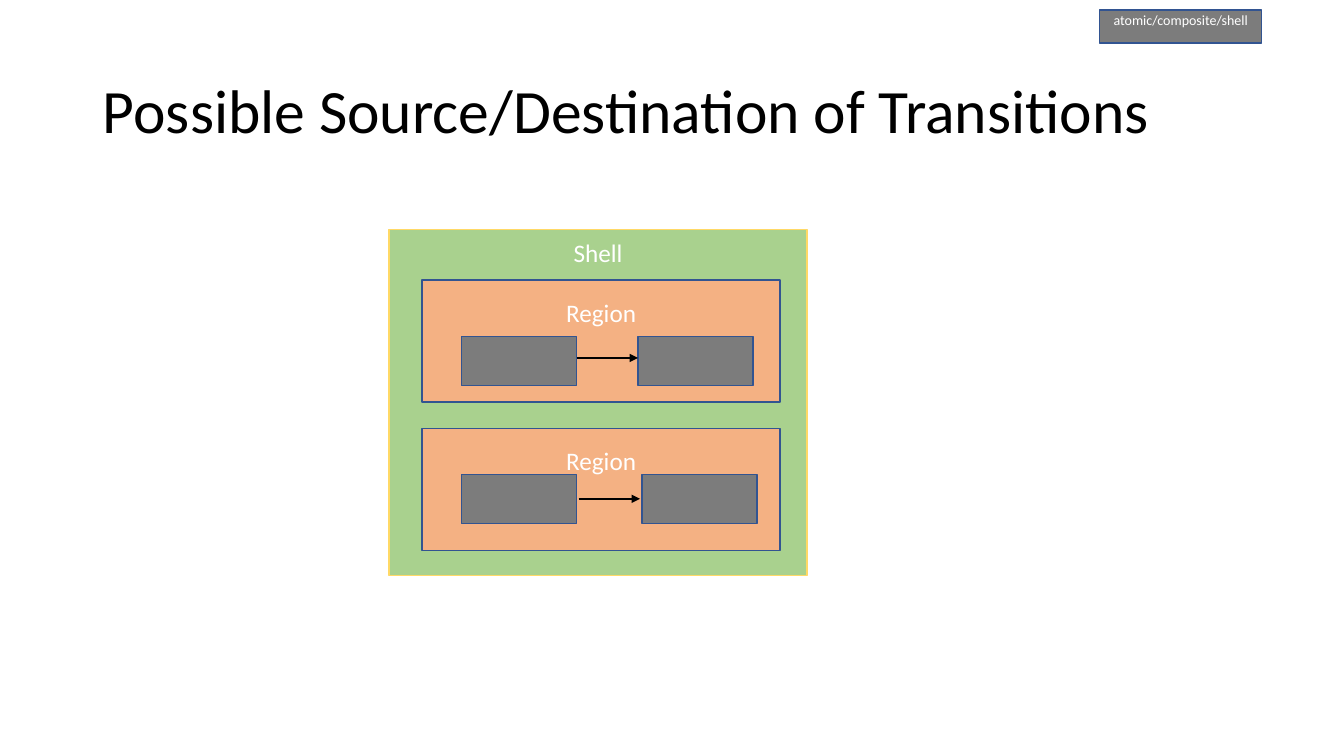
import dataclasses

import pptx
import pptx.dml.color
import pptx.enum.shapes
import pptx.enum.text
import pptx.oxml
import pptx.oxml.ns
import pptx.util

Cm = pptx.util.Cm
Pt = pptx.util.Pt
Anchor = pptx.enum.text.MSO_ANCHOR
Align = pptx.enum.text.PP_ALIGN

HUES = {
    "shell": "A9D18E",
    "region": "F4B183",
    "state": "7C7C7C",
    "gold": "FFD966",
    "navy": "325491",
    "white": "FFFFFF",
    "black": "000000",
}


@dataclasses.dataclass
class Box:
    left: float
    top: float
    width: float
    height: float
    fill: str
    line: str = "navy"
    text: str = ""
    size: int = 18
    inset: float = 0


@dataclasses.dataclass
class Arrow:
    left: float
    right: float
    top: float


def get_hue(name: str) -> pptx.dml.color.RGBColor:
    return pptx.dml.color.RGBColor.from_string(HUES[name])


def set_all(target, values: dict) -> None:
    for name, value in values.items():
        setattr(target, name, value)


def set_font(font, size: int, hue: str) -> None:
    set_all(font, {"name": "Calibri", "size": Pt(size), "bold": False})
    font.color.rgb = get_hue(hue)


def draw_box(slide, box: Box) -> None:
    shape = slide.shapes.add_shape(
        pptx.enum.shapes.MSO_SHAPE.RECTANGLE,
        Cm(box.left), Cm(box.top), Cm(box.width), Cm(box.height),
    )
    shape.shadow.inherit = False
    shape.fill.solid()
    shape.fill.fore_color.rgb = get_hue(box.fill)
    shape.line.color.rgb = get_hue(box.line)
    shape.line.width = Pt(1)
    if box.text:
        frame = shape.text_frame
        set_all(frame, {
            "text": box.text,
            "word_wrap": True,
            "vertical_anchor": Anchor.TOP,
            "margin_top": Cm(box.inset),
            "margin_bottom": Cm(0),
        })
        frame.paragraphs[0].alignment = Align.CENTER
        set_font(frame.paragraphs[0].runs[0].font, box.size, "white")


def draw_arrow(slide, arrow: Arrow) -> None:
    link = slide.shapes.add_connector(
        pptx.enum.shapes.MSO_CONNECTOR.STRAIGHT,
        Cm(arrow.left), Cm(arrow.top), Cm(arrow.right), Cm(arrow.top),
    )
    link.line.color.rgb = get_hue("black")
    link.line.width = Pt(1.5)
    tail = pptx.oxml.parse_xml(
        f'<a:tailEnd {pptx.oxml.ns.nsdecls("a")} type="triangle"/>')
    link.line._get_or_add_ln().append(tail)
    link._element.spPr.append(pptx.oxml.parse_xml(
        f'<a:effectLst {pptx.oxml.ns.nsdecls("a")}/>'))


def draw_title(slide, text: str) -> None:
    title = slide.shapes.title
    set_all(title, {
        "left": Cm(2.34), "top": Cm(1.02),
        "width": Cm(29.21), "height": Cm(3.68),
    })
    set_all(title.text_frame, {
        "text": text, "word_wrap": True, "vertical_anchor": Anchor.MIDDLE,
    })
    line = title.text_frame.paragraphs[0]
    set_all(line, {"alignment": Align.LEFT, "line_spacing": 0.9})
    set_font(line.runs[0].font, 44, "black")


deck = pptx.Presentation()
set_all(deck, {"slide_width": Cm(33.87), "slide_height": Cm(19.05)})
slide = deck.slides.add_slide(deck.slide_layouts[5])

shell = Box(9.8, 5.79, 10.54, 8.71, "shell", "gold", "Shell", inset=0.2)
regions = [
    Box(10.64, top, 9.02, 3.07, "region", text="Region", inset=0.42)
    for top in (7.06, 10.8)
]
states = [
    Box(left, top, 2.9, 1.24, "state")
    for top, right in ((8.48, 16.08), (11.96, 16.18))
    for left in (11.63, right)
]
label = Box(27.71, 0.25, 4.09, 0.84, "state",
            text="atomic/composite/shell", size=10, inset=0.03)

for box in [shell, *regions, *states, label]:
    draw_box(slide, box)
for arrow in (Arrow(14.53, 16.08, 9.02), Arrow(14.58, 16.13, 12.57)):
    draw_arrow(slide, arrow)
draw_title(slide, "Possible Source/Destination of Transitions")

deck.save("out.pptx")
